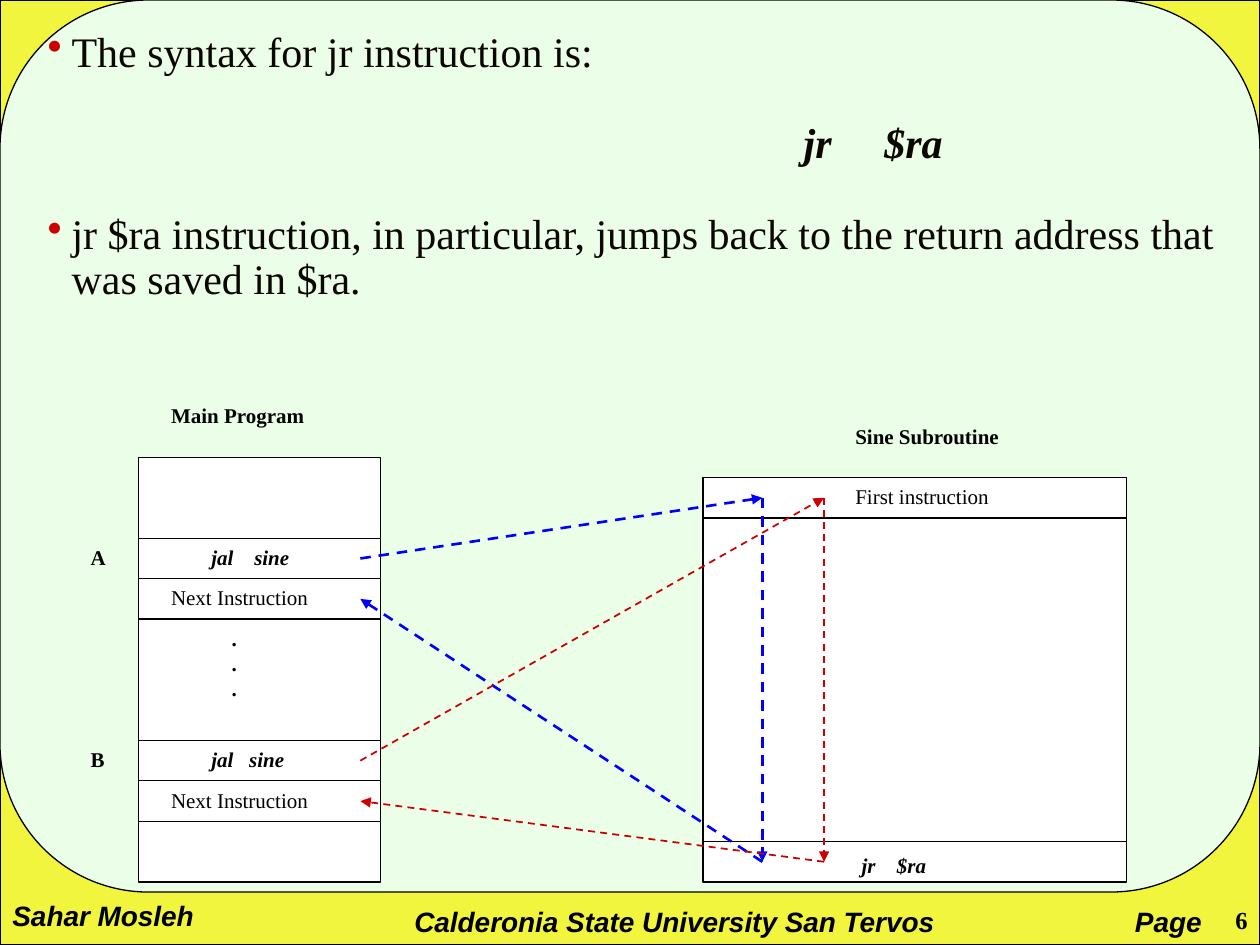
"""Build a slide showing how jr $ra returns from a subroutine."""

from dataclasses import dataclass, field

import pptx
import pptx.dml.color
import pptx.enum.dml
import pptx.enum.shapes
import pptx.enum.text
import pptx.oxml.ns
import pptx.util
from lxml import etree

Inches = pptx.util.Inches
RGBColor = pptx.dml.color.RGBColor
Shape = pptx.enum.shapes.MSO_SHAPE
Align = pptx.enum.text.PP_ALIGN

BLACK = RGBColor(0x00, 0x00, 0x00)
WHITE = RGBColor(0xFF, 0xFF, 0xFF)
YELLOW = RGBColor(0xF1, 0xF5, 0x3D)
MINT = RGBColor(0xEB, 0xFE, 0xE8)
BLUE = RGBColor(0x00, 0x00, 0xFF)
RED = RGBColor(0xCC, 0x00, 0x00)
INK = RGBColor(0x0C, 0x06, 0x00)

PLAIN = {"name": "Times New Roman", "size": pptx.util.Pt(12), "bold": False, "italic": False}
BOLD = PLAIN | {"bold": True}
CODE = BOLD | {"italic": True}
FOOTER = CODE | {"name": "Arial", "size": pptx.util.Pt(16)}
NUMBER = BOLD | {"size": pptx.util.Pt(14)}
BODY = PLAIN | {"size": pptx.util.Pt(24)}
BODY_CODE = BODY | {"bold": True, "italic": True}

MAIN_LEFT, MAIN_WIDTH, MAIN_TOP, MAIN_HEIGHT = 1.1, 1.92, 3.63, 3.37
SUB_LEFT, SUB_WIDTH = 5.58, 3.36
ROW = MAIN_HEIGHT / 10.5
CALL_X = 2.86


@dataclass
class Panel:
    left: float
    top: float
    width: float
    height: float
    fill: RGBColor = WHITE
    preset: Shape = Shape.RECTANGLE


@dataclass
class Label:
    text: str
    left: float
    top: float
    width: float
    height: float = 0.4
    style: dict = field(default_factory=lambda: PLAIN)
    tabs: tuple[float, ...] = ()
    align: Align = Align.LEFT


@dataclass
class Link:
    start: tuple[float, float]
    end: tuple[float, float]
    color: RGBColor = BLACK
    weight: float = 0.75
    dashed: bool = False


@dataclass
class Route:
    call_row: float
    entry_x: float
    color: RGBColor
    weight: float


@dataclass
class Point:
    text: str
    style: dict
    gap: int
    bullet: bool = False
    tabs: tuple[float, ...] = ()


def row_y(row: float) -> float:
    """Return the height of a row counted from the top of the main program."""
    return MAIN_TOP + row * ROW


def add_span(para, text: str, style: dict, color: RGBColor) -> None:
    """Append formatted text to a paragraph."""
    span = para.add_run()
    span.text = text
    for key, value in style.items():
        setattr(span.font, key, value)
    span.font.color.rgb = color


def set_tabs(para, stops: tuple[float, ...]) -> None:
    """Give a paragraph left tab stops."""
    if stops:
        tab_list = etree.SubElement(para._p.get_or_add_pPr(), pptx.oxml.ns.qn("a:tabLst"))
        for stop in stops:
            etree.SubElement(tab_list, pptx.oxml.ns.qn("a:tab"), pos=str(Inches(stop)), algn="l")


def add_panel(page, panel: Panel) -> None:
    """Draw an outlined, filled shape."""
    shape = page.shapes.add_shape(
        panel.preset, Inches(panel.left), Inches(panel.top), Inches(panel.width), Inches(panel.height)
    )
    shape.shadow.inherit = False
    shape.fill.solid()
    shape.fill.fore_color.rgb = panel.fill
    shape.line.color.rgb = BLACK
    shape.line.width = pptx.util.Pt(0.75)


def add_label(page, label: Label) -> None:
    """Draw a text box with one paragraph for each line."""
    box = page.shapes.add_textbox(
        Inches(label.left), Inches(label.top), Inches(label.width), Inches(label.height)
    )
    frame = box.text_frame
    frame.word_wrap = True
    for index, text in enumerate(label.text.split("\n")):
        para = frame.add_paragraph() if index else frame.paragraphs[0]
        para.alignment = label.align
        set_tabs(para, label.tabs)
        add_span(para, text, label.style, BLACK)


def add_link(page, link: Link) -> None:
    """Draw a plain rule or a dashed arrow."""
    connector = page.shapes.add_connector(
        pptx.enum.shapes.MSO_CONNECTOR.STRAIGHT, *(Inches(value) for value in link.start + link.end)
    )
    connector.line.color.rgb = link.color
    connector.line.width = pptx.util.Pt(link.weight)
    if link.dashed:
        connector.line.dash_style = pptx.enum.dml.MSO_LINE.DASH
        etree.SubElement(connector.line._get_or_add_ln(), pptx.oxml.ns.qn("a:tailEnd"), type="triangle")
    etree.SubElement(connector._element.spPr, pptx.oxml.ns.qn("a:effectLst"))


def add_route(page, route: Route) -> None:
    """Draw the call, the run through the subroutine and the return."""
    entry, leave = (route.entry_x, row_y(1)), (route.entry_x, row_y(10))
    call, back = (CALL_X, row_y(route.call_row)), (CALL_X, row_y(route.call_row + 1))
    for start, end in ((entry, leave), (call, entry), (leave, back)):
        add_link(page, Link(start, end, route.color, route.weight, True))


def add_points(page, points: list[Point]) -> None:
    """Draw the explanation at the top of the slide."""
    frame = page.shapes.add_textbox(Inches(0.28), Inches(0.2), Inches(9.54), Inches(2.82)).text_frame
    frame.word_wrap = True
    for index, point in enumerate(points):
        para = frame.add_paragraph() if index else frame.paragraphs[0]
        para.line_spacing = 0.9
        para.space_before = pptx.util.Pt(point.gap)
        if point.bullet:
            properties = para._p.get_or_add_pPr()
            properties.set("marL", str(Inches(0.19)))
            properties.set("indent", str(-Inches(0.19)))
            color = etree.SubElement(properties, pptx.oxml.ns.qn("a:buClr"))
            etree.SubElement(color, pptx.oxml.ns.qn("a:srgbClr"), val=str(RED))
            etree.SubElement(properties, pptx.oxml.ns.qn("a:buChar"), char="•")
        set_tabs(para, point.tabs)
        add_span(para, point.text, point.style, INK)


def main() -> None:
    """Assemble and save the deck."""
    deck = pptx.Presentation()
    deck.slide_width, deck.slide_height = Inches(10), Inches(7.5)
    page = deck.slides.add_slide(deck.slide_layouts[6])
    panels = [Panel(0, 0, 10, 7.5, YELLOW), Panel(0, 0, 10, 7.08, MINT, Shape.ROUNDED_RECTANGLE)]
    panels.append(Panel(MAIN_LEFT, MAIN_TOP, MAIN_WIDTH, MAIN_HEIGHT))
    for first, last in ((0.5, 1.5), (1.5, 9.5), (9.5, 10.5)):
        panels.append(Panel(SUB_LEFT, row_y(first), SUB_WIDTH, (last - first) * ROW))
    for panel in panels:
        add_panel(page, panel)
    add_points(page, [
        Point("The syntax for jr instruction is:", BODY, 0, True),
        Point("\tjr\t$ra", BODY_CODE, 26, tabs=(6, 6.64)),
        Point("jr $ra instruction, in particular, jumps back to the return address that "
              "was saved in $ra.", BODY, 26, True),
    ])
    for row in (2, 3, 4, 7, 8, 9):
        add_link(page, Link((MAIN_LEFT, row_y(row)), (MAIN_LEFT + MAIN_WIDTH, row_y(row))))
    for route in (Route(2.5, 6.05, BLUE, 1.5), Route(7.5, 6.54, RED, 1)):
        add_route(page, route)
    labels = [
        Label("Sahar Mosleh", 0, 7.08, 1.65, 0.37, FOOTER),
        Label("Page", 8.91, 7.13, 0.8, 0.37, FOOTER),
        Label("Calderonia State University San Tervos", 3.19, 7.13, 4.8, 0.37, FOOTER),
        Label("6", 9.25, 7.13, 0.75, 0.37, NUMBER, align=Align.RIGHT),
        Label(".\n.\n.", 1.74, row_y(4), 0.48, 0.96, BOLD),
        Label("Main Program", 1.26, row_y(-1.5), 1.76, style=BOLD),
        Label("Sine Subroutine", 6.69, row_y(-1), 1.76, style=BOLD),
        Label("First instruction", 6.69, row_y(0.5), 1.76),
        Label("jr\t$ra", 6.74, 6.72, 0.88, 0.35, CODE, (0.28,)),
    ]
    for name, row, stop in (("A", 2, 0.34), ("B", 7, 0.3)):
        labels += [
            Label(name, 0.62, row_y(row), 0.48, 0.32, BOLD),
            Label("jal\tsine", 1.58, row_y(row), 0.96, style=CODE, tabs=(stop,)),
            Label("Next Instruction", 1.26, row_y(row + 1), 1.76),
        ]
    for label in labels:
        add_label(page, label)
    deck.save("out.pptx")


if __name__ == "__main__":
    main()
